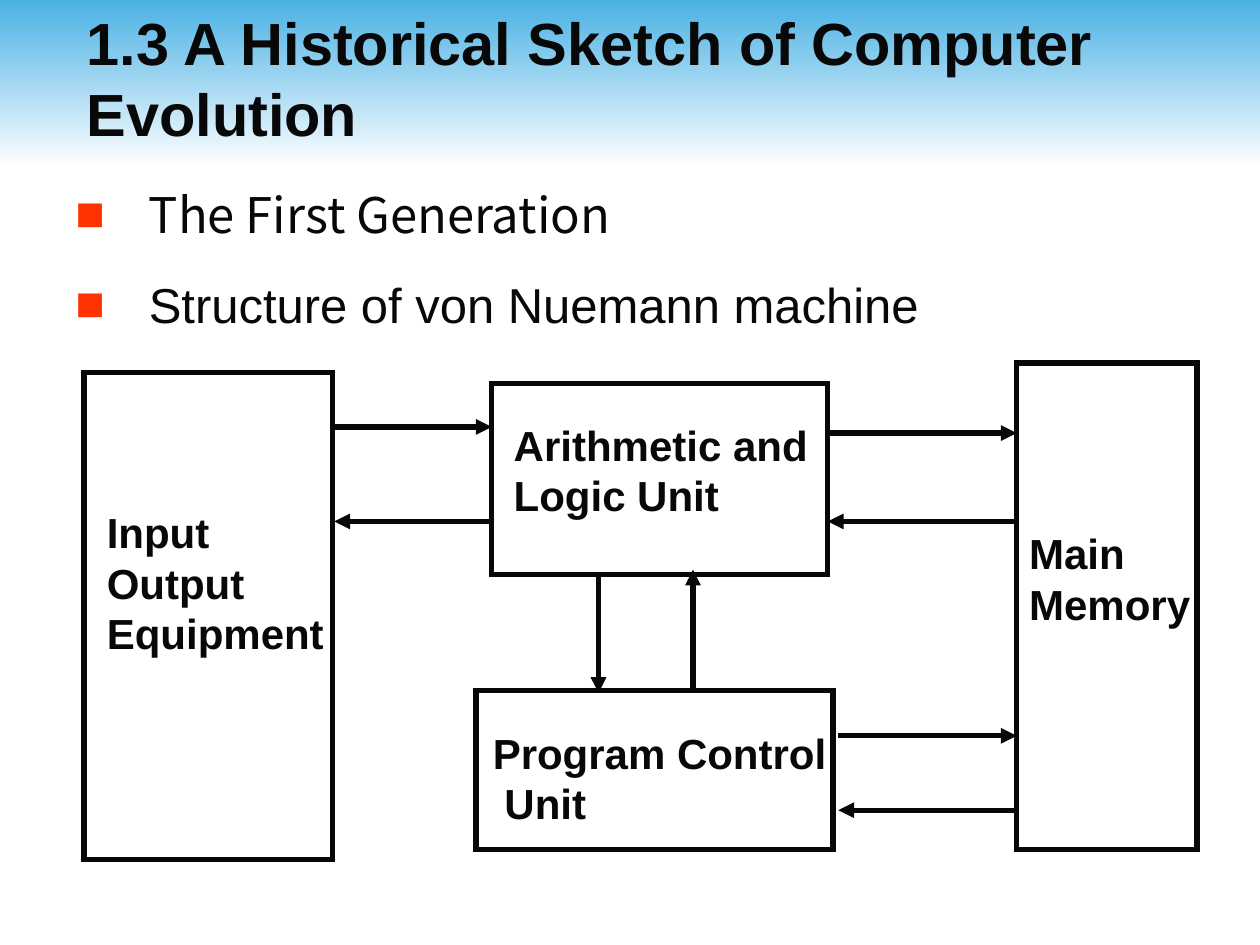
from lxml.etree import SubElement
from pptx import Presentation
from pptx.dml.color import RGBColor
from pptx.enum.shapes import MSO_CONNECTOR, MSO_SHAPE
from pptx.enum.text import MSO_ANCHOR
from pptx.oxml.ns import qn
from pptx.util import Pt

INK = "080808"


def color(hex_string):
    return RGBColor.from_string(hex_string)


def add_text(left, top, width, height, lines, size):
    text_box = slide.shapes.add_textbox(Pt(left), Pt(top), Pt(width), Pt(height))
    frame = text_box.text_frame
    frame.word_wrap = True
    frame.text = "\n".join(lines)
    for paragraph in frame.paragraphs:
        paragraph.font.name = "Arial"
        paragraph.font.size = Pt(size)
        paragraph.font.bold = True
        paragraph.font.color.rgb = color(INK)
    return frame


presentation = Presentation()
presentation.slide_width = Pt(720)
presentation.slide_height = Pt(540)
slide = presentation.slides.add_slide(presentation.slide_layouts[6])

# Header band fading to white
band = slide.shapes.add_shape(MSO_SHAPE.RECTANGLE, 0, 0, Pt(720), Pt(96))
band.shadow.inherit = False
band.line.fill.background()
band.fill.gradient()
band.fill.gradient_angle = 270
for stop, hex_string in zip(band.fill.gradient_stops, ("4AB1E4", "FFFFFF")):
    stop.color.rgb = color(hex_string)

# Title
title = add_text(42.5, 0, 677.5, 88.5,
                 ["1.3 A Historical Sketch of Computer Evolution"], 34)
title.vertical_anchor = MSO_ANCHOR.MIDDLE

# Bullets
body_box = slide.shapes.add_textbox(Pt(36), Pt(102), Pt(648), Pt(396))
body = body_box.text_frame
body.word_wrap = True
bullets = [("The First Generation", "Noto Sans CJK JP", 0),
           ("Structure of von Nuemann machine", "Arial", 17.5)]
for index, (text, font_name, space_before) in enumerate(bullets):
    paragraph = body.add_paragraph() if index else body.paragraphs[0]
    paragraph.text = text
    paragraph.space_before = Pt(space_before)
    properties = paragraph._p.get_or_add_pPr()
    properties.set("marL", str(Pt(42)))
    properties.set("indent", str(-Pt(42)))
    bullet_color = SubElement(properties, qn("a:buClr"))
    SubElement(bullet_color, qn("a:srgbClr"), val="FF3300")
    SubElement(properties, qn("a:buFont"), typeface="Arial")
    SubElement(properties, qn("a:buChar"), char="■")
    paragraph.font.name = font_name
    paragraph.font.size = Pt(28)
    paragraph.font.color.rgb = color(INK)

# Machine units: outline, then label
units = [
    ((48, 213, 142, 278), (54, 286, 150, 94), ["Input", "Output", "Equipment"]),
    ((281, 219, 192, 109.5), (286.5, 236, 200, 65), ["Arithmetic and", "Logic Unit"]),
    ((272, 394.5, 204, 91), (274.5, 412, 215, 65), ["Program Control", "Unit"]),
    ((581, 207.5, 103, 278), (581, 298, 120, 65), ["Main", "Memory"]),
]
for outline, label_place, lines in units:
    unit = slide.shapes.add_shape(MSO_SHAPE.RECTANGLE, *map(Pt, outline))
    unit.shadow.inherit = False
    unit.fill.background()
    unit.line.color.rgb = color(INK)
    unit.line.width = Pt(3)
    SubElement(unit.line._get_or_add_ln(), qn("a:miter"), lim="800000")
    label = add_text(*label_place, lines, 24)
    if lines[-1] == "Unit":
        label.paragraphs[-1]._p.get_or_add_pPr().set("marL", str(Pt(6.67)))

# Data and control arrows between the units
arrows = [
    (191, 244, 281, 244), (281, 298, 191, 298),
    (473, 247.5, 581, 247.5), (581, 298, 473, 298),
    (479, 420.5, 581, 420.5), (581, 463, 479, 463),
    (342, 327, 342, 396), (396, 394.5, 396, 325.5),
]
for ends in arrows:
    arrow = slide.shapes.add_connector(MSO_CONNECTOR.STRAIGHT, *map(Pt, ends))
    arrow.line.color.rgb = color(INK)
    arrow.line.width = Pt(3)
    SubElement(arrow.line._get_or_add_ln(), qn("a:tailEnd"), type="triangle")
    SubElement(arrow._element.spPr, qn("a:effectLst"))

presentation.save("out.pptx")
